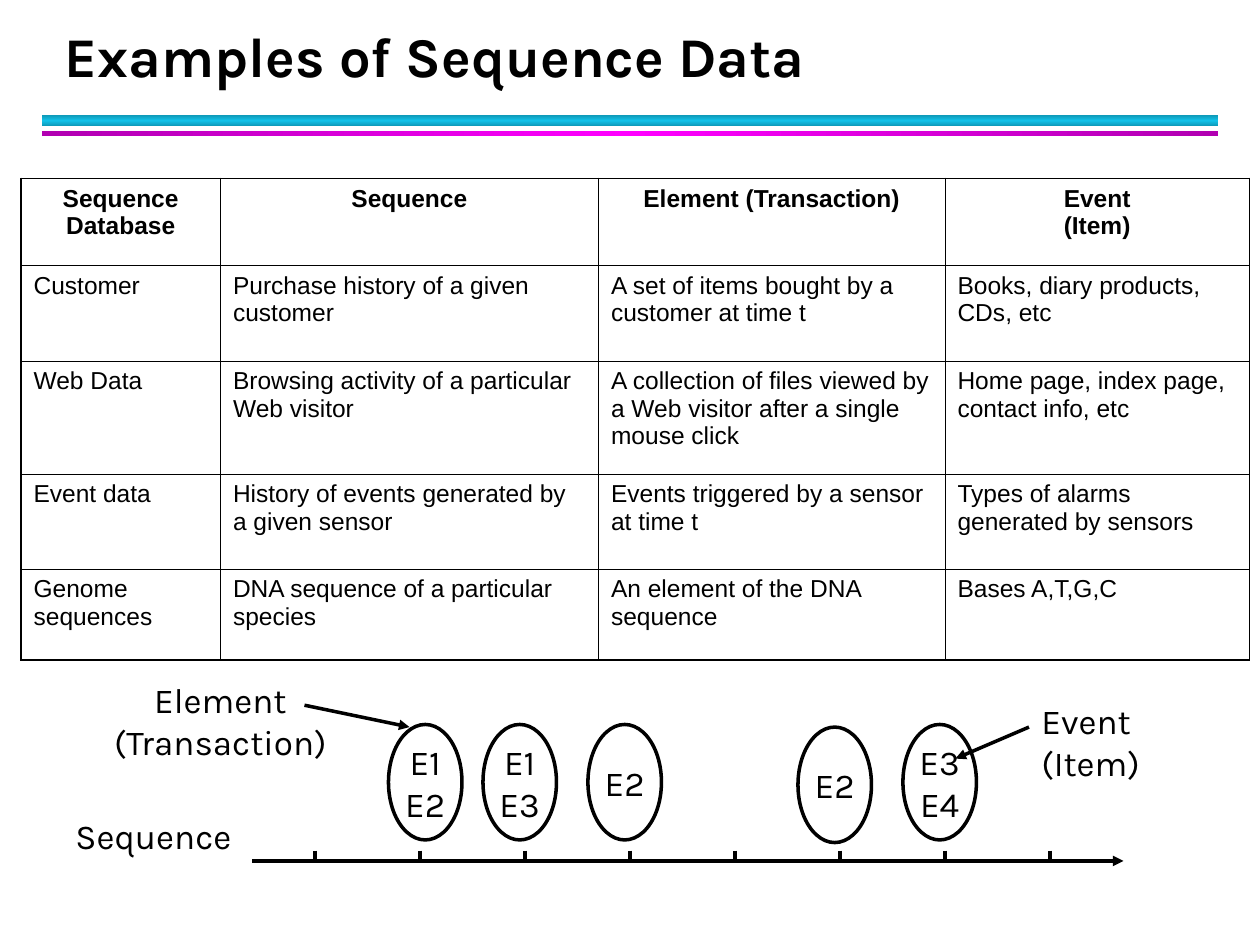
import copy

import pptx
import pptx.dml.color
import pptx.enum.shapes
import pptx.enum.text
import pptx.oxml.ns
import pptx.oxml.xmlchemy
import pptx.util

Pt = pptx.util.Pt
qn = pptx.oxml.ns.qn
node = pptx.oxml.xmlchemy.OxmlElement
ALIGN = pptx.enum.text.PP_ALIGN
ANCHOR = pptx.enum.text.MSO_ANCHOR
SHAPE = pptx.enum.shapes.MSO_SHAPE

COLORS = {
    "ink": "000000",
    "cyan": "12C2E9",
    "teal": "0E9AB9",
    "pink": "FF00FF",
    "plum": "B100B1",
}

COLS = [114, 216, 198, 174]
ROWS = [49.7, 54.6, 64.7, 54.2, 52]
CELLS = [
    ["Sequence Database", "Sequence", "Element (Transaction)", "Event\n(Item)"],
    ["Customer", "Purchase history of a given customer",
     "A set of items bought by a customer at time t",
     "Books, diary products, CDs, etc"],
    ["Web Data", "Browsing activity of a particular Web visitor",
     "A collection of files viewed by a Web visitor after a single mouse click",
     "Home page, index page, contact info, etc"],
    ["Event data", "History of events generated by a given sensor",
     "Events triggered by a sensor at time t",
     "Types of alarms generated by sensors"],
    ["Genome sequences", "DNA sequence of a particular species",
     "An element of the DNA sequence", "Bases A,T,G,C"],
]

# Left, top and events of each element on the time line
ITEMS = [
    (222, 414, "E1\nE2"),
    (276, 414, "E1\nE3"),
    (336, 414, "E2"),
    (456, 415.5, "E2"),
    (516, 414, "E3\nE4"),
]


def color(name):
    return pptx.dml.color.RGBColor.from_string(COLORS[name])


def write(frame, text, size=20, face="Karla", bold=False, align=ALIGN.LEFT,
          after=0, line=None):
    para = frame.paragraphs[0]
    para.text = text
    para.alignment = align
    para.space_before = Pt(0)
    para.space_after = Pt(after)
    if line:
        para.line_spacing = Pt(line)
    for run in para.runs:
        run.font.size = Pt(size)
        run.font.name = face
        run.font.bold = bold
        run.font.color.rgb = color("ink")


def label(slide, box, text, anchor=ANCHOR.TOP, **style):
    frame = slide.shapes.add_textbox(*map(Pt, box)).text_frame
    frame.word_wrap = True
    frame.vertical_anchor = anchor
    write(frame, text, **style)


def band(slide, top, height, edge, core, angle):
    bar = slide.shapes.add_shape(SHAPE.RECTANGLE, Pt(24), Pt(top), Pt(672), Pt(height))
    bar.shadow.inherit = False
    bar.line.fill.background()
    bar.fill.gradient()
    bar.fill.gradient_angle = angle
    stops = bar._element.find(".//" + qn("a:gsLst"))
    stops.append(copy.deepcopy(stops[0]))
    for stop, place, name in zip(bar.fill.gradient_stops, (0, 0.5, 1), (edge, core, edge)):
        stop.position = place
        stop.color.rgb = color(name)


def stroke(slide, start, end, arrow=False):
    line = slide.shapes.add_connector(
        pptx.enum.shapes.MSO_CONNECTOR.STRAIGHT, *map(Pt, start + end))
    line.line.width = Pt(2)
    line.line.color.rgb = color("ink")
    if arrow:
        tail = node("a:tailEnd")
        tail.set("type", "triangle")
        line._element.spPr.find(qn("a:ln")).append(tail)
    line._element.spPr.append(node("a:effectLst"))


def oval(slide, left, top, text):
    ring = slide.shapes.add_shape(SHAPE.OVAL, Pt(left), Pt(top), Pt(42), Pt(66))
    ring.shadow.inherit = False
    ring.fill.background()
    ring.line.color.rgb = color("ink")
    ring.line.width = Pt(2)
    ring.text_frame.word_wrap = False
    ring.text_frame.vertical_anchor = ANCHOR.MIDDLE
    write(ring.text_frame, text, align=ALIGN.CENTER)


def border(cell, sides):
    """Draw the cell's sides; an outer side is thicker than an inner one."""
    props = cell._tc.get_or_add_tcPr()
    for spot, (side, outer) in enumerate(sides.items()):
        edge = node("a:ln" + side)
        edge.set("w", str(int(Pt(1.08 if outer else 0.45))))
        fill = node("a:solidFill")
        tint = node("a:srgbClr")
        tint.set("val", COLORS["ink"])
        fill.append(tint)
        edge.append(fill)
        props.insert(spot, edge)


def grid(slide):
    table = slide.shapes.add_table(
        len(ROWS), len(COLS), Pt(12), Pt(102), Pt(sum(COLS)), Pt(sum(ROWS))).table
    table.horz_banding = False
    for col, width in zip(table.columns, COLS):
        col.width = Pt(width)
    for row, height in zip(table.rows, ROWS):
        row.height = Pt(height)
    for r, texts in enumerate(CELLS):
        for c, text in enumerate(texts):
            cell = table.cell(r, c)
            cell.fill.background()
            head = r == 0
            write(cell.text_frame, text, size=14, face="Arial", bold=head, after=4,
                  align=ALIGN.CENTER if head else ALIGN.LEFT)
            border(cell, {"L": c == 0, "R": c == len(COLS) - 1,
                          "T": head, "B": r == len(ROWS) - 1})


def main():
    deck = pptx.Presentation()
    deck.slide_width, deck.slide_height = Pt(720), Pt(540)
    slide = deck.slides.add_slide(deck.slide_layouts[6])

    # Heading
    band(slide, 66, 6, "teal", "cyan", 90)
    band(slide, 75, 3, "plum", "pink", 0)
    label(slide, (30, 12, 652, 42), "Examples of Sequence Data",
          anchor=ANCHOR.BOTTOM, size=32, bold=True, line=36)

    grid(slide)

    # Time line with even ticks
    stroke(slide, (144, 492), (642, 492), arrow=True)
    for tick in range(180, 601, 60):
        stroke(slide, (tick, 486), (tick, 492))
    label(slide, (36, 462, 120, 32), "Sequence")
    for item in ITEMS:
        oval(slide, *item)

    # Callouts
    stroke(slide, (174, 403), (234, 415.5), arrow=True)
    label(slide, (54, 384, 144, 55.5), "Element (Transaction)", align=ALIGN.CENTER)
    stroke(slide, (588, 415.5), (546, 433.5), arrow=True)
    label(slide, (588, 396, 78, 55.5), "Event\n(Item)")

    deck.save("out.pptx")


if __name__ == "__main__":
    main()
